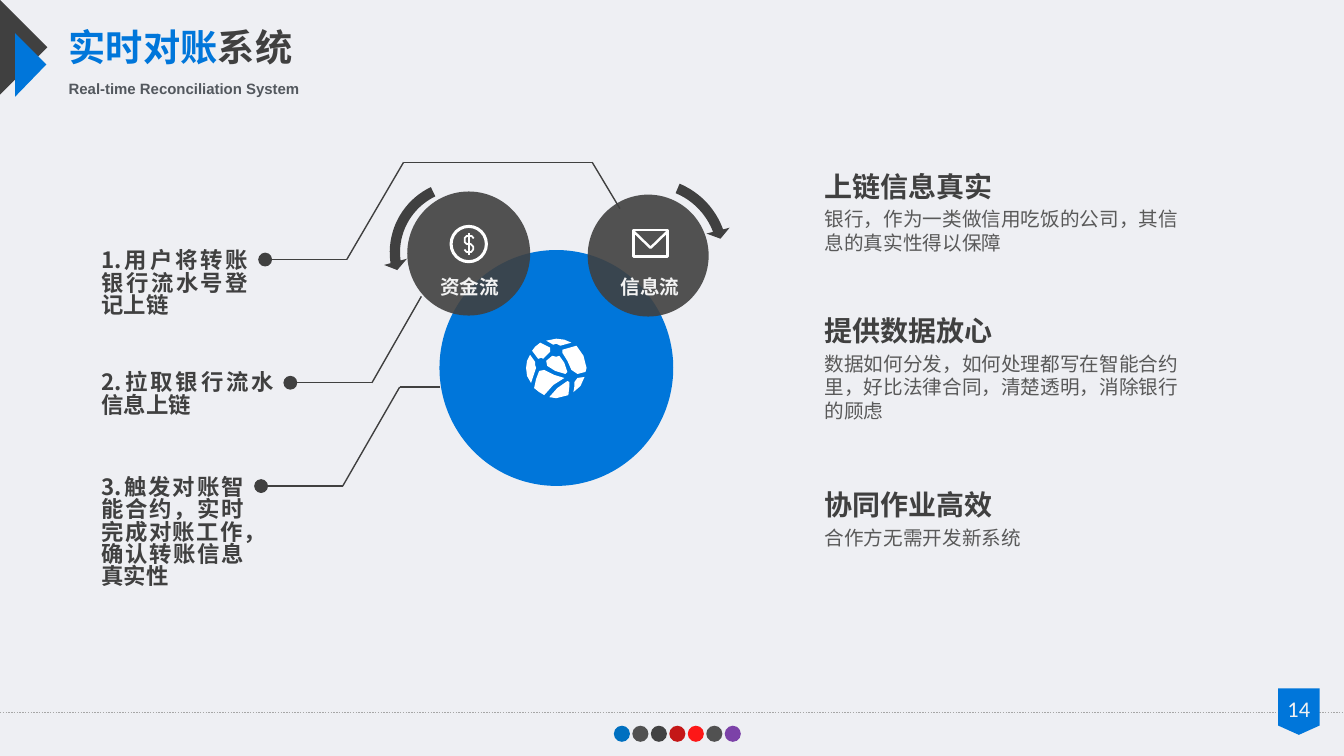
from dataclasses import dataclass
from typing import NamedTuple, Optional

from lxml.etree import SubElement
from pptx import Presentation
from pptx.dml.color import RGBColor as RGB
from pptx.enum.dml import MSO_LINE_DASH_STYLE as Dash
from pptx.enum.shapes import MSO_CONNECTOR as Conn, MSO_SHAPE as Geo
from pptx.enum.text import MSO_ANCHOR as Anchor, MSO_AUTO_SIZE as Fit, PP_ALIGN as Align
from pptx.oxml.ns import qn
from pptx.util import Pt


@dataclass(frozen=True)
class Theme:
    back: str = "EEEFF3"
    blue: str = "0076DA"
    dark: str = "404040"
    body: str = "595959"
    sub: str = "53585E"
    rule: str = "A6A6A6"
    light: str = "F2F2F2"
    white: str = "FFFFFF"
    cjk: str = "Noto Sans CJK SC"
    title_pt: float = 26.6
    head_pt: float = 20
    step_pt: float = 16
    text_pt: float = 14
    sub_pt: float = 10.7


T = Theme()


class Box(NamedTuple):
    x: float
    y: float
    w: float
    h: float


class Run(NamedTuple):
    text: str
    size: float
    color: str
    bold: bool = True
    font: str = T.cjk


class Para(NamedTuple):
    runs: list[Run]
    spacing: float = 1.0
    before: float = 0
    align: Align = Align.LEFT


class Step(NamedTuple):
    text: str
    box: Box
    leader: list[tuple[float, float]]


class Panel(NamedTuple):
    head: str
    text: str
    box: Box


class Arrow(NamedTuple):
    geo: Geo
    box: Box
    turn: float
    adj: list[float]


STEPS = [
    Step("1.用户将转账银行流水号登记上链", Box(65.5, 175.7, 118.8, 74),
         [(442.8, 149), (423, 115.9), (288.3, 115.9), (247.7, 185.4), (189.4, 185.4)]),
    Step("2.拉取银行流水信息上链", Box(65.5, 262.8, 137.5, 74),
         [(301, 211.7), (265.7, 273.4), (207.4, 273.4)]),
    Step("3.触发对账智能合约，实时完成对账工作，确认转账信息真实性", Box(65.5, 337.7, 115.9, 74),
         [(314.6, 276.5), (285.5, 276.5), (244.8, 347.2), (186.5, 347.2)]),
]
PANELS = [
    Panel("上链信息真实", "银行，作为一类做信用吃饭的公司，其信息的真实性得以保障",
          Box(589, 121, 260.6, 72.7)),
    Panel("提供数据放心", "数据如何分发，如何处理都写在智能合约里，好比法律合同，清楚透明，消除银行的顾虑",
          Box(589, 224, 260.6, 92.9)),
    Panel("协同作业高效", "合作方无需开发新系统", Box(589, 348.5, 260.6, 52.6)),
]
ARROWS = [
    Arrow(Geo.LEFT_CIRCULAR_ARROW, Box(273.6, 123.8, 113, 113), 357.1,
          [0.065, 4.3, 104.891, 148.378, 0.075]),
    Arrow(Geo.CIRCULAR_ARROW, Box(402.5, 122.4, 122.4, 121.7), 117.5,
          [0.06, 3.941, 133.138, 105.082, 0.07]),
]
FLOWS = [("资金流", Box(290.9, 136.8, 87.8, 88.6), 295.2),
         ("信息流", Box(419.8, 139, 86.4, 87.1), 424.1)]
DOTS = ["0070C0", T.dark, "303030", "C00000", "FF0000", T.dark, "7030A0"]

# Icon outlines, in units of 0.72 pt
Contour = list[tuple[float, float]]
GLOBE: list[Contour] = [
    [(15, 19), (17, 20), (24, 13), (24, 9), (14, 4), (9, 8), (6, 12), (12, 20)],
    [(9, 26), (9, 23), (4, 16), (1, 22), (0, 29), (1, 37), (5, 44), (10, 29)],
    [(30, 5), (34, 7), (45, 4), (38, 1), (30, 0), (20, 2), (27, 6)],
    [(39, 35), (41, 33), (38, 24), (33, 17), (30, 18), (26, 17), (20, 22), (21, 27), (29, 32)],
    [(48, 43), (48, 47), (47, 53), (54, 47), (58, 38), (51, 39)],
    [(38, 39), (28, 36), (18, 31), (13, 32), (10, 40), (8, 49), (13, 53), (18, 56), (27, 46)],
    [(50, 7), (36, 11), (36, 14), (41, 22), (45, 31), (51, 35), (59, 33), (60, 29), (57, 17)],
    [(41, 42), (31, 49), (23, 58), (30, 59), (42, 56), (43, 47), (43, 43)],
]
DOLLAR: list[Contour] = [
    [(24, 13.5), (22, 11), (17, 11), (15, 13), (15, 17), (17, 19), (21, 19),
     (23.5, 21.5), (23.5, 24.5), (21.5, 27), (17, 27), (14.8, 24.5)],
    [(19, 8.5), (19, 29.5)],
]
ENVELOPE: list[Contour] = [
    [(1.5, 1.5), (35.5, 1.5), (35.5, 27.5), (1.5, 27.5), (1.5, 1.5)],
    [(2, 3), (18.5, 19), (35, 3)],
]


def paint(sp, fill: Optional[str], alpha: int = 100) -> None:
    sp.shadow.inherit = False
    sp.line.fill.background()
    if fill is None:
        sp.fill.background()
        return
    sp.fill.solid()
    sp.fill.fore_color.rgb = RGB.from_string(fill)
    if alpha < 100:
        clr = sp._element.spPr.find(qn("a:solidFill")).find(qn("a:srgbClr"))
        SubElement(clr, qn("a:alpha")).set("val", str(alpha * 1000))


def add_preset(s, geo: Geo, box: Box, fill: str, alpha: int = 100):
    sp = s.shapes.add_shape(geo, *map(Pt, box))
    paint(sp, fill, alpha)
    return sp


def add_outline(s, contours: list[Contour], x: float, y: float,
                fill: Optional[str] = None, stroke: float = 0) -> None:
    builder = None
    for contour in contours:
        first, *rest = [(Pt(a * 0.72), Pt(b * 0.72)) for a, b in contour]
        if builder is None:
            builder = s.shapes.build_freeform(*first)
        else:
            builder.move_to(*first)
        builder.add_line_segments(rest, close=fill is not None)
    sp = builder.convert_to_shape(Pt(x), Pt(y))
    paint(sp, fill)
    if stroke:
        sp.line.color.rgb = RGB.from_string(T.white)
        sp.line.width = Pt(stroke)


def add_line(s, a: tuple[float, float], b: tuple[float, float], color: str,
             oval: bool = False):
    c = s.shapes.add_connector(Conn.STRAIGHT, *map(Pt, (*a, *b)))
    c.line.color.rgb = RGB.from_string(color)
    c.line.width = Pt(1)
    if oval:
        tail = SubElement(c.line._get_or_add_ln(), qn("a:tailEnd"))
        for key, val in (("type", "oval"), ("w", "lg"), ("len", "lg")):
            tail.set(key, val)
    SubElement(c._element.spPr, qn("a:effectLst"))
    return c


def write(sp, box: Box, paras: list[Para], inset: tuple[float, ...] = (0, 0, 0, 0),
          anchor: Anchor = Anchor.TOP) -> None:
    sp.left, sp.top, sp.width, sp.height = map(Pt, box)
    tf = sp.text_frame
    tf.word_wrap, tf.auto_size, tf.vertical_anchor = True, Fit.NONE, anchor
    tf.margin_left, tf.margin_top, tf.margin_right, tf.margin_bottom = map(Pt, inset)
    for i, para in enumerate(paras):
        p = tf.add_paragraph() if i else tf.paragraphs[0]
        p.alignment, p.line_spacing = para.align, para.spacing
        p.space_before, p.space_after = Pt(para.before), Pt(0)
        if sp.is_placeholder:
            pPr = p._p.get_or_add_pPr()
            pPr.set("marL", "0")
            pPr.set("indent", "0")
            SubElement(pPr, qn("a:buNone"))
        for run in para.runs:
            r = p.add_run()
            r.text = run.text
            r.font.size, r.font.bold, r.font.name = Pt(run.size), run.bold, run.font
            r.font.color.rgb = RGB.from_string(run.color)
            SubElement(r._r.get_or_add_rPr(), qn("a:ea")).set("typeface", T.cjk)


def add_text(s, box: Box, para: Para, inset: tuple[float, ...],
             anchor: Anchor = Anchor.TOP) -> None:
    write(s.shapes.add_textbox(*map(Pt, box)), box, [para], inset, anchor)


def main() -> None:
    prs = Presentation()
    prs.slide_width, prs.slide_height = Pt(960), Pt(540)
    s = prs.slides.add_slide(prs.slide_layouts.get_by_name("Comparison"))
    s.background.fill.solid()
    s.background.fill.fore_color.rgb = RGB.from_string(T.back)
    *panel_slots, subtitle = [ph for ph in s.placeholders if ph.placeholder_format.idx]

    # Title corner
    add_outline(s, [[(0, 0), (47, 47), (0, 94)]], 0, 0, T.dark)
    add_outline(s, [[(15, 33), (46, 64), (15, 96)]], 0, 0, T.blue)
    write(s.shapes.title, Box(49, 20.9, 220, 32.4), [Para([
        Run("实时对账", T.title_pt, T.blue, font="Arial Narrow"),
        Run("系统", T.title_pt, T.dark, font="Arial Narrow")], 0.9)])
    write(subtitle, Box(49, 56.9, 189.4, 13), [Para([
        Run("Real-time Reconciliation System", T.sub_pt, T.sub, font="Arial")])])

    # Footer
    add_line(s, (0, 509), (960, 509), T.rule).line.dash_style = Dash.ROUND_DOT
    add_preset(s, Geo.FLOWCHART_OFFPAGE_CONNECTOR, Box(913, 491.8, 29.5, 33.1), T.blue)
    add_text(s, Box(906.5, 495.4, 42.5, 24.5), Para(
        [Run("14", T.step_pt, T.light, False, "Calibri")], 0.9, align=Align.CENTER),
        (7.2, 3.6, 7.2, 3.6))
    for i, color in enumerate(DOTS):
        add_preset(s, Geo.OVAL, Box(438.5 + i * 13.2, 518.4, 11.5, 11.5), color, 90 if i else 100)

    # Circles, arrows and icons
    add_preset(s, Geo.OVAL, Box(313.9, 178.6, 167, 168.5), T.blue)
    for label, circle, label_x in FLOWS:
        add_preset(s, Geo.OVAL, circle, T.dark, 90)
        add_text(s, Box(label_x, 190.8, 77, 29.5), Para(
            [Run(label, T.text_pt, T.light)], 0.9, align=Align.CENTER),
            (3.6, 0, 0, 0), Anchor.MIDDLE)
    for arrow in ARROWS:
        sp = add_preset(s, arrow.geo, arrow.box, T.dark)
        sp.rotation = arrow.turn
        for i, value in enumerate(arrow.adj):
            sp.adjustments[i] = value
    add_outline(s, GLOBE, 375.8, 241.9, T.white)
    add_preset(s, Geo.DONUT, Box(321.1, 160.6, 27.4, 27.4), T.white).adjustments[0] = 0.08
    add_outline(s, DOLLAR, 321.1, 160.6, stroke=1.25)
    add_outline(s, ENVELOPE, 451.4, 163.4, stroke=1.75)

    # Steps with leader lines
    for step in STEPS:
        ends = list(zip(step.leader, step.leader[1:]))
        for a, b in ends:
            add_line(s, a, b, T.dark, oval=(a, b) == ends[-1])
        add_text(s, step.box, Para([Run(step.text, T.step_pt, T.dark)], 0.83,
                                   align=Align.JUSTIFY), (7.2, 3.6, 7.2, 3.6))

    # Benefits
    for slot, panel in zip(panel_slots, PANELS):
        write(slot, panel.box, [
            Para([Run(panel.head, T.head_pt, T.dark)], before=3),
            Para([Run(panel.text, T.text_pt, T.body, False)], before=3)])
    prs.save("out.pptx")


if __name__ == "__main__":
    main()
